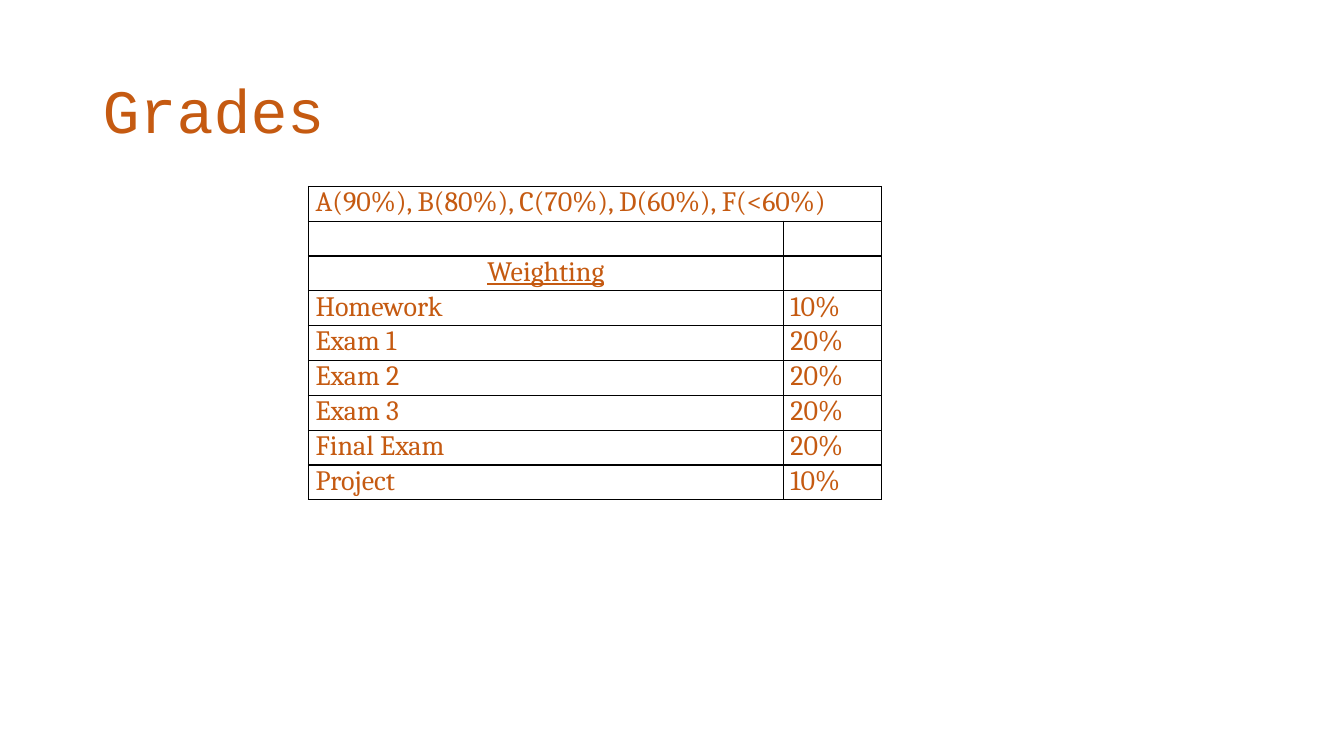
from dataclasses import dataclass

from lxml.etree import SubElement
from pptx import Presentation
from pptx.dml.color import RGBColor
from pptx.enum.text import MSO_ANCHOR, PP_ALIGN
from pptx.oxml.ns import qn
from pptx.slide import Slide
from pptx.table import _Cell
from pptx.text.text import _Paragraph
from pptx.util import Inches, Pt

RUST = "C55A11"
BLACK = "000000"


@dataclass
class Row:
    """Hold the two texts of a table row and the look of the first."""
    name: str = ""
    share: str = ""
    align: PP_ALIGN = PP_ALIGN.JUSTIFY
    under: bool = False


ROWS = [
    Row("A(90%), B(80%), C(70%), D(60%), F(<60%)"),
    Row(),
    Row("Weighting", align=PP_ALIGN.CENTER, under=True),
    Row("Homework", "10%"),
    Row("Exam 1", "20%"),
    Row("Exam 2", "20%"),
    Row("Exam 3", "20%"),
    Row("Final Exam", "20%"),
    Row("Project", "10%"),
]
WIDTHS = [4.71, 0.97]
HEIGHT = 3.11


def color(code: str) -> RGBColor:
    """Turn a hex string into a colour."""
    return RGBColor.from_string(code)


def add_run(para: _Paragraph, text: str, face: str, size: int, under: bool = False) -> None:
    """Add one styled run to a paragraph."""
    run = para.add_run()
    run.text = text
    run.font.name = face
    run.font.size = Pt(size)
    run.font.underline = under
    run.font.color.rgb = color(RUST)


def add_edges(cell: _Cell) -> None:
    """Draw thin black lines on all four sides of a cell."""
    props = cell._tc.get_or_add_tcPr()
    for place, side in enumerate(("lnL", "lnR", "lnT", "lnB")):
        line = SubElement(props, qn(f"a:{side}"), w=str(Pt(1)))
        fill = SubElement(line, qn("a:solidFill"))
        SubElement(fill, qn("a:srgbClr"), val=BLACK)
        props.insert(place, line)


def fill_cell(cell: _Cell, text: str, align: PP_ALIGN, under: bool) -> None:
    """Set the margins, fill, edges and text of a cell."""
    cell.margin_left = cell.margin_right = Inches(0.07)
    cell.margin_top = cell.margin_bottom = 0
    cell.fill.background()
    add_edges(cell)
    para = cell.text_frame.paragraphs[0]
    para.alignment = align
    if text:
        add_run(para, text, "Cambria", 20, under)


def add_title(slide: Slide) -> None:
    """Place the slide title."""
    box = slide.shapes.add_textbox(Inches(0.92), Inches(0.4), Inches(11.5), Inches(1.45))
    frame = box.text_frame
    frame.word_wrap = True
    frame.vertical_anchor = MSO_ANCHOR.MIDDLE
    para = frame.paragraphs[0]
    para.line_spacing = 0.9
    add_run(para, "Grades", "Courier New", 44)


def add_grades(slide: Slide) -> None:
    """Place the table of grades and weights."""
    table = slide.shapes.add_table(
        len(ROWS), len(WIDTHS), Inches(3.06), Inches(1.85),
        Inches(sum(WIDTHS)), Inches(HEIGHT),
    ).table
    table.first_row = table.horz_banding = False
    for column, width in zip(table.columns, WIDTHS):
        column.width = Inches(width)
    for index, row in enumerate(ROWS):
        table.rows[index].height = Inches(HEIGHT / len(ROWS))
        fill_cell(table.cell(index, 0), row.name, row.align, row.under)
        fill_cell(table.cell(index, 1), row.share, PP_ALIGN.JUSTIFY, False)
    table.cell(0, 0).merge(table.cell(0, 1))


def main() -> None:
    """Build and save the slide."""
    deck = Presentation()
    deck.slide_width = Inches(13.33)
    deck.slide_height = Inches(7.5)
    slide = deck.slides.add_slide(deck.slide_layouts[6])
    add_grades(slide)
    add_title(slide)
    deck.save("out.pptx")


if __name__ == "__main__":
    main()
